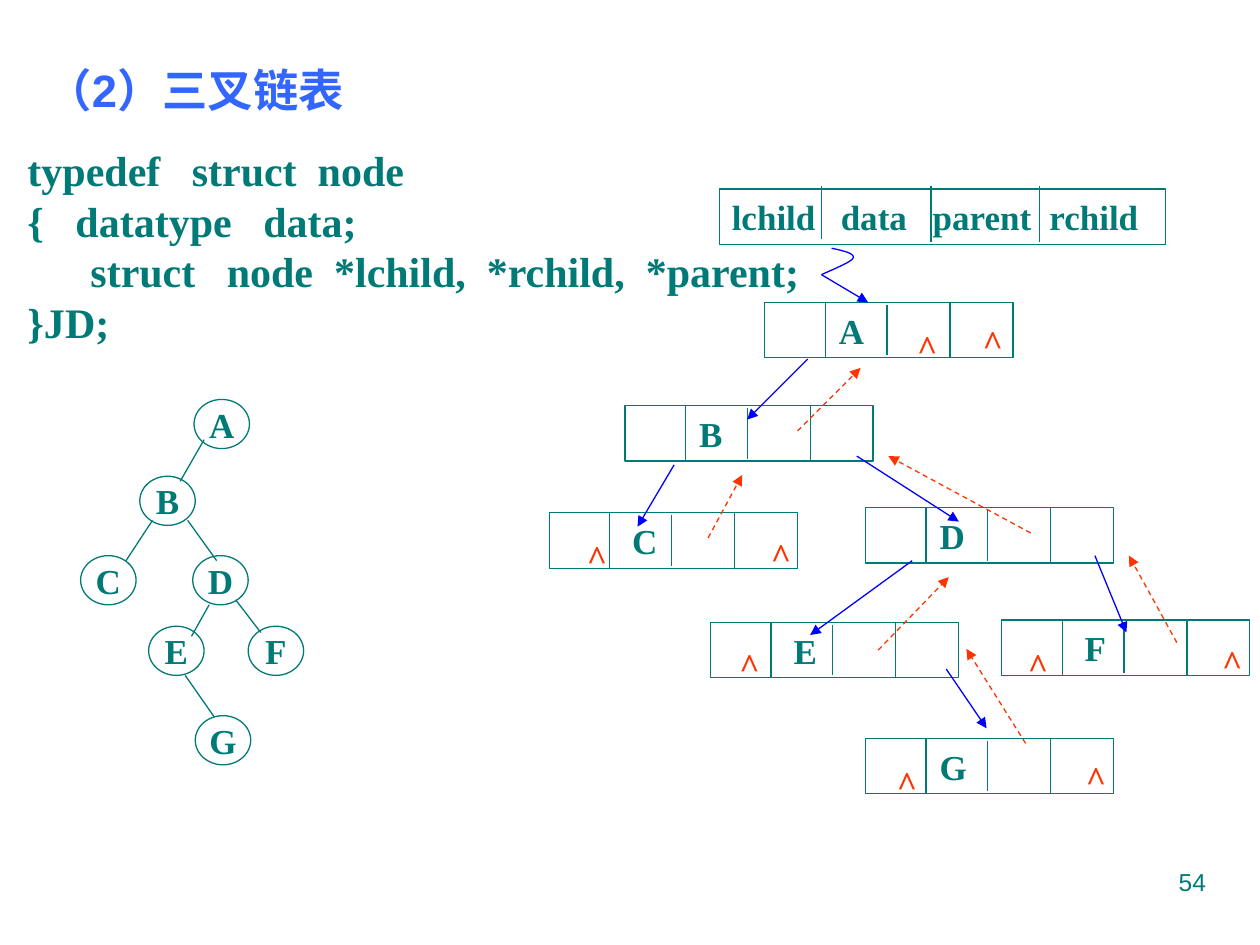
import dataclasses

import lxml.etree
import pptx
import pptx.dml.color
import pptx.enum.dml
import pptx.enum.shapes
import pptx.enum.text
import pptx.oxml.ns
import pptx.util

ALIGN = pptx.enum.text.PP_ALIGN
ANCHOR = pptx.enum.text.MSO_ANCHOR
SHAPE = pptx.enum.shapes.MSO_SHAPE

# The slide is a grid of square cells; every length below counts them.
COLUMNS, ROWS = 100, 75

CODE = """typedef   struct  node
{   datatype   data;
      struct   node  *lchild,  *rchild,  *parent;
}JD;"""

FIELDS = "lchild\tdata\tparent\trchild"
FIELD_TABS = (8.65, 15.95, 25.2)
FIELD_DIVIDERS = ((65.2, 19), (73.9, 19.2), (82.5, 19.2))

TREE_WIDTH, TREE_HEIGHT = 4.4, 3.9
TREE_NODES = {
    "A": (15.4, 31.7), "B": (11.1, 37.8), "C": (6.4, 44.1), "D": (15.3, 44.1),
    "E": (11.8, 49.7), "F": (19.7, 49.7), "G": (15.5, 56.8),
}
TREE_EDGES = (
    (16.2, 34.9, 14.3, 38.2), (12.1, 41.3, 10, 44.5), (14.9, 41.3, 17.2, 44.5),
    (16.6, 48, 15.2, 50.5), (18.7, 47.6, 20.7, 50.2), (14.7, 53.6, 17, 56.9),
)

RECORD_WIDTH, RECORD_HEIGHT = 19.7, 4.4
# Divider offset from the record's left edge, and its gap at top and bottom.
RECORD_DIVIDERS = ((4.8, 0), (9.7, 0.2), (14.7, 0))
# Left, top, letter indent, and offsets of the null marks.
RECORDS = {
    "A": (60.7, 24, 4.9, ((11.1, 1.3), (16.3, 0.9))),
    "B": (49.6, 32.2, 4.9, ()),
    "C": (43.6, 40.7, 5.6, ((2, 1.3), (16.6, 1.1))),
    "D": (68.7, 40.3, 4.9, ()),
    "E": (56.4, 49.4, 5.6, ((1.3, 1.1),)),
    "F": (79.5, 49.2, 5.6, ((1.1, 1.3), (16.5, 1.1))),
    "G": (68.7, 58.6, 4.9, ((1.5, 1.3), (16.5, 0.9))),
}
CHILD_ARROWS = (
    (64.1, 28.5, 59.3, 33.3), (53.5, 36.9, 50.6, 41.8),
    (72.4, 44.5, 64.3, 50.4), (68, 36.2, 76.1, 41.4),
    (86.9, 44.1, 89.4, 50.2), (75.1, 53.1, 78.3, 57.8),
)
PARENT_ARROWS = (
    (63.3, 34.2, 68.3, 29.2), (56.2, 42.7, 58.9, 37.7),
    (81.8, 42.3, 70.5, 36.2), (69.7, 51.6, 75.3, 45.8),
    (81.4, 59, 76.7, 51.5), (93.4, 51, 89.6, 44.1),
)
ROOT_CURVES = (
    ((66, 19.7), (66.9, 19.9), (67.9, 20.1), (67.7, 20.5)),
    ((67.7, 20.5), (67.6, 20.8), (65.6, 21.6), (65.2, 21.8)),
)


@dataclasses.dataclass(frozen=True)
class Theme:
    ink: str = "007A77"
    title: str = "3366FF"
    child: str = "0000FF"
    parent: str = "FF3300"
    sans: str = "Arial"
    serif: str = "Times New Roman"
    title_size: float = 25.9
    code_size: float = 24
    label_size: float = 20
    number_size: float = 14
    line_width: float = 0.75


def rgb(colour):
    return pptx.dml.color.RGBColor.from_string(colour)


def bezier(points, steps=10):
    """Points along a cubic curve, without its start."""
    for step in range(1, steps + 1):
        t = step / steps
        weights = ((1 - t) ** 3, 3 * t * (1 - t) ** 2, 3 * t * t * (1 - t), t ** 3)
        yield tuple(sum(w * p[axis] for w, p in zip(weights, points)) for axis in (0, 1))


class Deck:
    def __init__(self, theme):
        self.theme = theme
        self.presentation = pptx.Presentation()
        self.presentation.slide_width = pptx.util.Inches(10)
        self.presentation.slide_height = pptx.util.Inches(7.5)
        title_only = self.presentation.slide_layouts[5]
        self.slide = self.presentation.slides.add_slide(title_only)
        self.shapes = self.slide.shapes

    def x(self, columns):
        return round(self.presentation.slide_width * columns / COLUMNS)

    def y(self, rows):
        return round(self.presentation.slide_height * rows / ROWS)

    def box(self, left, top, width, height):
        return self.x(left), self.y(top), self.x(width), self.y(height)

    def outline(self, shape, colour):
        shape.line.color.rgb = rgb(colour)
        shape.line.width = pptx.util.Pt(self.theme.line_width)

    def set_text(self, shape, text, size, colour=None, font=None, bold=True,
                 align=ALIGN.LEFT, anchor=ANCHOR.MIDDLE, wrap=False):
        frame = shape.text_frame
        frame.text = text
        frame.word_wrap = wrap
        frame.auto_size = pptx.enum.text.MSO_AUTO_SIZE.NONE
        frame.vertical_anchor = anchor
        for paragraph in frame.paragraphs:
            paragraph.alignment = align
            for run in paragraph.runs:
                run.font.name = font or self.theme.serif
                run.font.size = pptx.util.Pt(size)
                run.font.bold = bold
                run.font.color.rgb = rgb(colour or self.theme.ink)

    def title(self, text, *place):
        shape = self.shapes.title
        shape.left, shape.top, shape.width, shape.height = self.box(*place)
        self.set_text(shape, text, self.theme.title_size, self.theme.title,
                      self.theme.sans, anchor=ANCHOR.TOP, wrap=True)

    def text(self, text, place, size, **style):
        self.set_text(self.shapes.add_textbox(*self.box(*place)), text, size, **style)

    def outlined(self, kind, text, *place, **style):
        shape = self.shapes.add_shape(kind, *self.box(*place))
        shape.shadow.inherit = False
        shape.fill.background()
        self.outline(shape, self.theme.ink)
        self.set_text(shape, text, self.theme.label_size, **style)
        return shape

    def line(self, x1, y1, x2, y2, colour=None, arrow=False, dashed=False):
        connector = self.shapes.add_connector(
            pptx.enum.shapes.MSO_CONNECTOR.STRAIGHT,
            self.x(x1), self.y(y1), self.x(x2), self.y(y2))
        self.outline(connector, colour or self.theme.ink)
        if dashed:
            connector.line.dash_style = pptx.enum.dml.MSO_LINE.DASH
        properties = connector._element.spPr
        if arrow:
            stroke = properties.find(pptx.oxml.ns.qn("a:ln"))
            lxml.etree.SubElement(stroke, pptx.oxml.ns.qn("a:tailEnd"), type="triangle")
        lxml.etree.SubElement(properties, pptx.oxml.ns.qn("a:effectLst"))

    def curve(self, segments, colour):
        start = segments[0][0]
        builder = self.shapes.build_freeform(self.x(start[0]), self.y(start[1]))
        builder.add_line_segments(
            [(self.x(x), self.y(y)) for segment in segments for x, y in bezier(segment)],
            close=False)
        shape = builder.convert_to_shape()
        shape.shadow.inherit = False
        shape.fill.background()
        self.outline(shape, colour)

    def field_header(self):
        header = self.outlined(SHAPE.RECTANGLE, FIELDS, 57.1, 15, 35.4, 4.4, wrap=True)
        properties = header.text_frame.paragraphs[0]._p.get_or_add_pPr()
        tabs = lxml.etree.SubElement(properties, pptx.oxml.ns.qn("a:tabLst"))
        for stop in FIELD_TABS:
            lxml.etree.SubElement(tabs, pptx.oxml.ns.qn("a:tab"), pos=str(self.x(stop)), algn="l")
        for column, bottom in FIELD_DIVIDERS:
            self.line(column, 14.8, column, bottom)

    def record(self, letter, left, top, indent, nulls):
        """A four-cell list node with its letter and null marks."""
        shape = self.outlined(SHAPE.RECTANGLE, letter, left, top,
                              RECORD_WIDTH, RECORD_HEIGHT, wrap=True)
        properties = shape.text_frame.paragraphs[0]._p.get_or_add_pPr()
        properties.set("marL", str(self.x(indent)))
        for offset, gap in RECORD_DIVIDERS:
            self.line(left + offset, top + gap, left + offset, top + RECORD_HEIGHT - gap)
        for across, down in nulls:
            self.text("^", (left + across, top + down, 3.6, 4.4), self.theme.label_size,
                      colour=self.theme.parent, align=ALIGN.CENTER)


def main():
    theme = Theme()
    deck = Deck(theme)
    deck.title("（2）三叉链表", 2.7, 4.4, 43.3, 5.5)
    deck.text(CODE, (1.2, 11, 63.4, 17), theme.code_size)
    deck.field_header()

    for letter, (left, top) in TREE_NODES.items():
        deck.outlined(SHAPE.OVAL, letter, left, top, TREE_WIDTH, TREE_HEIGHT,
                      align=ALIGN.CENTER)
    for edge in TREE_EDGES:
        deck.line(*edge)

    for letter, layout in RECORDS.items():
        deck.record(letter, *layout)
    for arrow in CHILD_ARROWS:
        deck.line(*arrow, colour=theme.child, arrow=True)
    for arrow in PARENT_ARROWS:
        deck.line(*arrow, colour=theme.parent, arrow=True, dashed=True)
    deck.curve(ROOT_CURVES, theme.child)
    deck.line(65.2, 21.8, 68.9, 24, colour=theme.child, arrow=True)

    deck.text("54", (71.7, 68.3, 25, 5.2), theme.number_size, font=theme.sans,
              bold=False, align=ALIGN.RIGHT, anchor=ANCHOR.TOP, wrap=True)
    deck.presentation.save("out.pptx")


if __name__ == "__main__":
    main()
